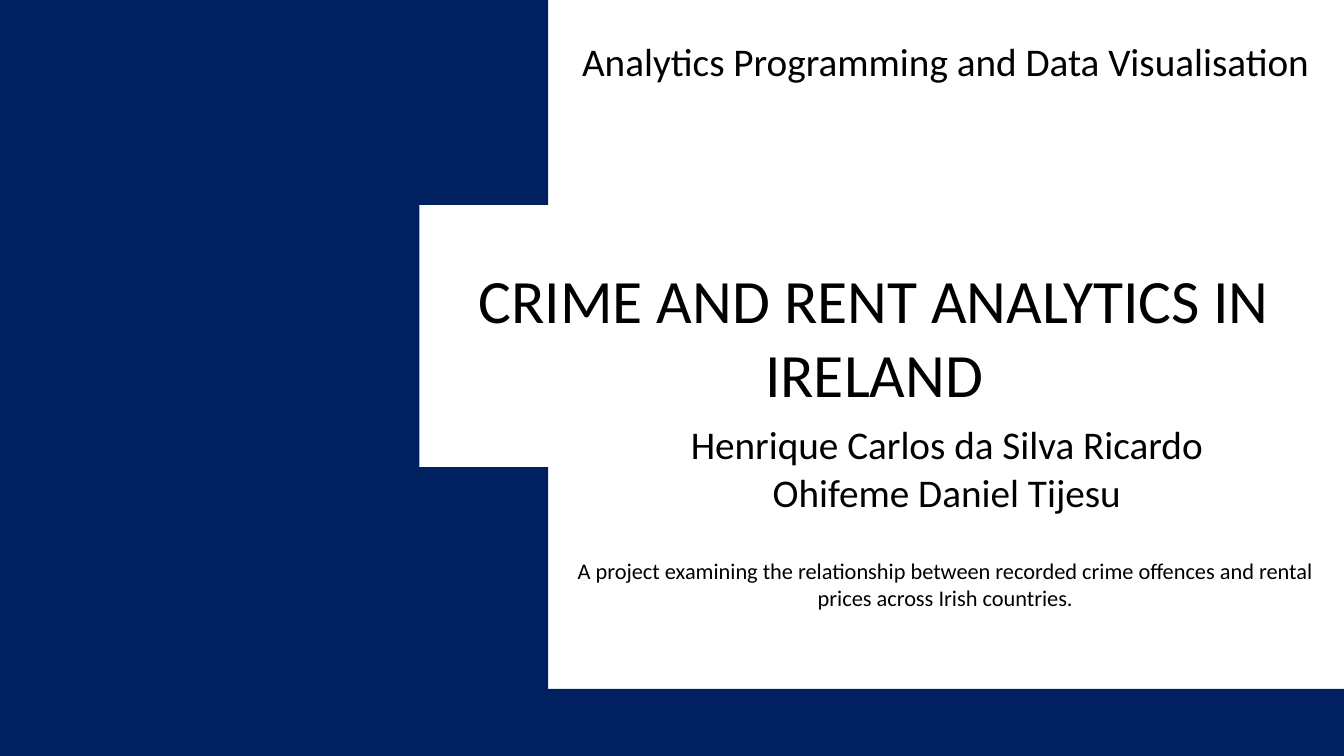
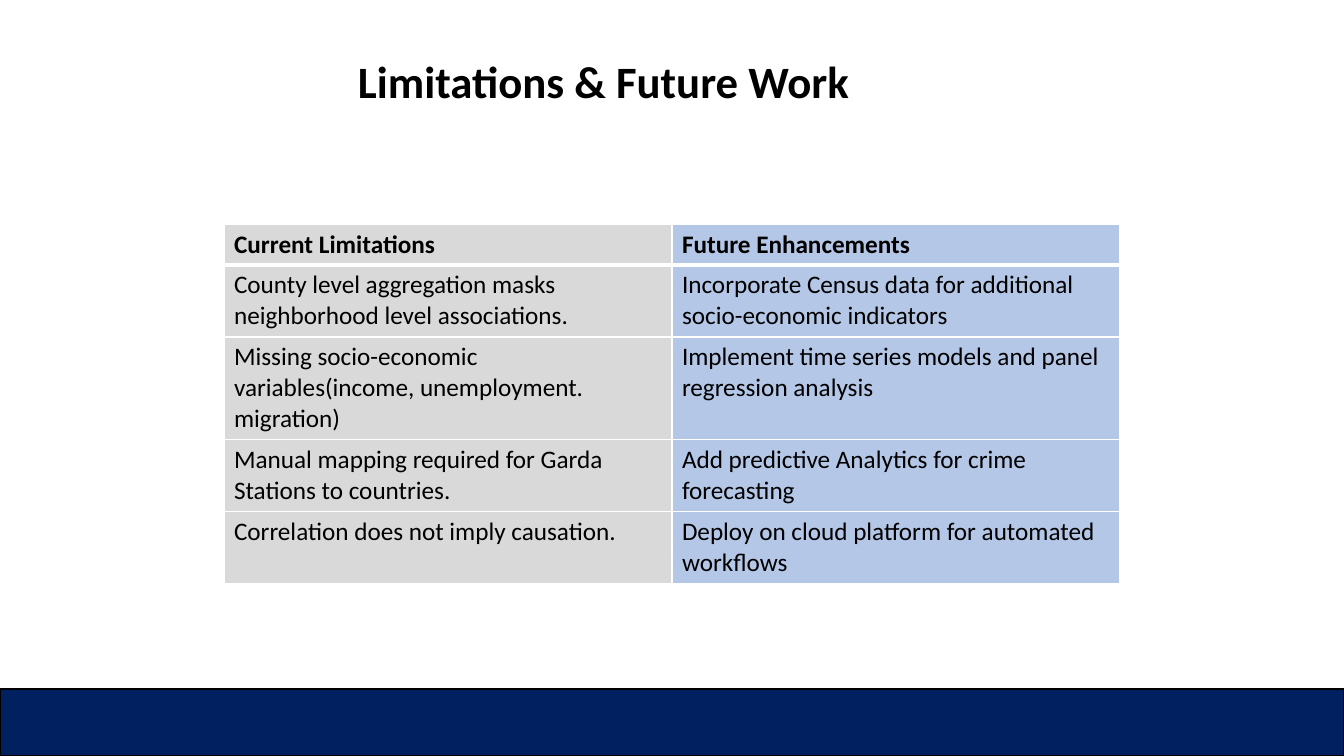
from dataclasses import dataclass
from typing import Any, Optional

import lxml.etree
import pptx
import pptx.dml.color
import pptx.enum.shapes
import pptx.enum.text
import pptx.oxml.ns
import pptx.util

Pt = pptx.util.Pt
ALIGN = pptx.enum.text.PP_ALIGN
ANCHOR = pptx.enum.text.MSO_ANCHOR

SLIDE_W, SLIDE_H = 960, 540
BAND_H = 48
BAND_TOP = SLIDE_H - BAND_H
TITLE_ONLY = 5

FONT = "Calibri"
NAVY, WHITE, BLACK = "002060", "FFFFFF", "000000"
GREY, BLUE = "D9D9D9", "B4C7E7"


@dataclass(frozen=True)
class Box:
    left: float
    top: float
    width: float
    height: float

    def lengths(self) -> tuple[Any, ...]:
        return Pt(self.left), Pt(self.top), Pt(self.width), Pt(self.height)


@dataclass(frozen=True)
class Caption:
    box: Box
    text: str
    size: float


@dataclass(frozen=True)
class Column:
    fill: str
    cells: tuple[str, ...]


BAND = Box(0, BAND_TOP, SLIDE_W, BAND_H)
SIDE_PANEL = Box(0, 0, 391.5, BAND_TOP)

CAPTIONS = (
    Caption(Box(436.5, 297, 479.5, 109),
            "Henrique Carlos da Silva Ricardo\nOhifeme Daniel Tijesu", 28),
    Caption(Box(403, 23, 544.5, 75),
            "Analytics Programming and Data Visualisation", 28),
    Caption(Box(403, 394.5, 544.5, 65.5),
            "A project examining the relationship between recorded crime "
            "offences and rental prices across Irish countries.", 16),
)

COLUMNS = (
    Column(GREY, (
        "Current Limitations",
        "County level aggregation masks neighborhood level associations.",
        "Missing socio-economic variables(income, unemployment. migration)",
        "Manual mapping required for Garda Stations to countries.",
        "Correlation does not imply causation.",
    )),
    Column(BLUE, (
        "Future Enhancements",
        "Incorporate Census data for additional socio-economic indicators",
        "Implement time series models and panel regression analysis",
        "Add predictive Analytics for crime forecasting",
        "Deploy on cloud platform for automated workflows",
    )),
)
ROW_HEIGHTS = (29.2, 51.5, 73.5, 51.5, 51.5)
COLUMN_W = 320


def set_fill(target: Any, color: str) -> None:
    target.fill.solid()
    target.fill.fore_color.rgb = pptx.dml.color.RGBColor.from_string(color)


def write(tf: Any, text: str, size: float, align: Any, bold: bool = False) -> None:
    tf.text = text
    tf.word_wrap = True
    for p in tf.paragraphs:
        p.alignment = align
        for r in p.runs:
            r.font.name = FONT
            r.font.size = Pt(size)
            r.font.bold = bold
            r.font.color.rgb = pptx.dml.color.RGBColor.from_string(BLACK)


def add_block(s: Any, box: Box, line: Optional[str] = None) -> None:
    sp = s.shapes.add_shape(pptx.enum.shapes.MSO_SHAPE.RECTANGLE, *box.lengths())
    sp.shadow.inherit = False
    set_fill(sp, NAVY)
    if line:
        sp.line.color.rgb = pptx.dml.color.RGBColor.from_string(line)
        sp.line.width = Pt(1)
    else:
        sp.line.fill.background()


def add_caption(s: Any, caption: Caption) -> None:
    sp = s.shapes.add_textbox(*caption.box.lengths())
    write(sp.text_frame, caption.text, caption.size, ALIGN.CENTER)


def place_title(s: Any, box: Box, text: str, size: float, align: Any,
                anchor: Any, bold: bool = False) -> Any:
    """Format the title placeholder and bring it in front of earlier shapes."""
    sp = s.shapes.title
    sp.left, sp.top, sp.width, sp.height = box.lengths()
    tf = sp.text_frame
    write(tf, text, size, align, bold)
    tf.auto_size = pptx.enum.text.MSO_AUTO_SIZE.NONE
    tf.vertical_anchor = anchor
    s.shapes.element.append(sp.element)
    return sp


def set_borders(cell: Any, top: float, bottom: float) -> None:
    """Draw white cell borders; the side borders are one point wide."""
    qn = pptx.oxml.ns.qn
    props = cell.fill._xPr
    widths = {"a:lnL": 1, "a:lnR": 1, "a:lnT": top, "a:lnB": bottom}
    for i, (tag, width) in enumerate(widths.items()):
        ln = lxml.etree.Element(qn(tag), w=str(Pt(width)))
        fill = lxml.etree.SubElement(ln, qn("a:solidFill"))
        lxml.etree.SubElement(fill, qn("a:srgbClr"), val=WHITE)
        props.insert(i, ln)


def add_comparison(s: Any, left: float, top: float) -> None:
    box = Box(left, top, COLUMN_W * len(COLUMNS), sum(ROW_HEIGHTS))
    table = s.shapes.add_table(len(ROW_HEIGHTS), len(COLUMNS), *box.lengths()).table
    table.horz_banding = False
    for row, height in zip(table.rows, ROW_HEIGHTS):
        row.height = Pt(height)
    for c, column in enumerate(COLUMNS):
        table.columns[c].width = Pt(COLUMN_W)
        for r, text in enumerate(column.cells):
            cell = table.cell(r, c)
            write(cell.text_frame, text, 18, ALIGN.LEFT, bold=r == 0)
            set_fill(cell, column.fill)
            set_borders(cell, top=3 if r == 1 else 1, bottom=3 if r == 0 else 1)


def build_cover(s: Any) -> None:
    add_block(s, BAND)
    add_block(s, SIDE_PANEL)
    title = place_title(s, Box(299.5, 146.5, 653, 187),
                        "CRIME AND RENT ANALYTICS IN IRELAND", 44,
                        ALIGN.CENTER, ANCHOR.MIDDLE)
    set_fill(title, WHITE)
    tf = title.text_frame
    tf.margin_left = tf.margin_top = tf.margin_bottom = 0
    tf.margin_right = Pt(3)
    for caption in CAPTIONS:
        add_caption(s, caption)


def build_limitations(s: Any) -> None:
    add_block(s, BAND, line=BLACK)
    place_title(s, Box(248.5, 34.5, 414, 46), "Limitations & Future Work", 32,
                ALIGN.LEFT, ANCHOR.TOP, bold=True)
    add_comparison(s, 160, 160)


def main() -> None:
    prs = pptx.Presentation()
    prs.slide_width, prs.slide_height = Pt(SLIDE_W), Pt(SLIDE_H)
    for build in (build_cover, build_limitations):
        build(prs.slides.add_slide(prs.slide_layouts[TITLE_ONLY]))
    prs.save("out.pptx")


if __name__ == "__main__":
    main()
